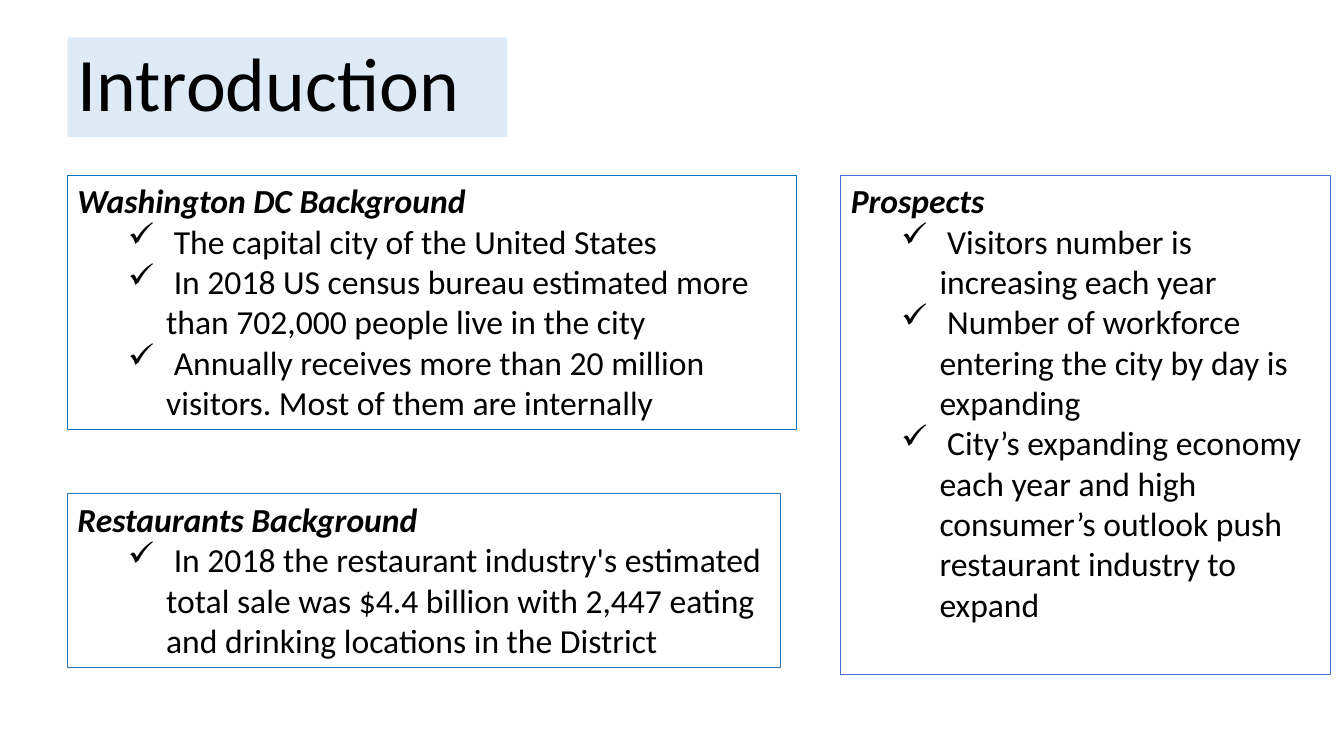
from lxml import etree
from pptx import Presentation
from pptx.dml.color import RGBColor
from pptx.enum.text import MSO_ANCHOR, MSO_AUTO_SIZE, PP_ALIGN
from pptx.oxml.ns import qn
from pptx.util import Inches, Pt

LEFT, MIDDLE, FIXED = PP_ALIGN.LEFT, MSO_ANCHOR.MIDDLE, MSO_AUTO_SIZE.NONE
BLACK = RGBColor(0, 0, 0)
PALE = RGBColor(0xDE, 0xEB, 0xF7)
BLUE = RGBColor(0x00, 0x70, 0xC0)
STEEL = RGBColor(0x2E, 0x75, 0xB6)
ROYAL = RGBColor(0x44, 0x72, 0xC4)
FONT = "Calibri"

# Content: heading, place, border colour, points
TITLE = "Introduction"
PANELS = [
    ("Washington DC Background", (0.67, 1.74, 7.23, 2.52), BLUE, [
        "The capital city of the United States",
        "In 2018 US census bureau estimated more than 702,000 people "
        "live in the city",
        "Annually receives more than 20 million visitors. "
        "Most of them are internally"]),
    ("Restaurants Background", (0.67, 4.9, 7.07, 1.72), STEEL, [
        "In 2018 the restaurant industry's estimated total sale was "
        "$4.4 billion with 2,447 eating and drinking locations "
        "in the District"]),
    ("Prospects", (8.34, 1.74, 4.86, 4.95), ROYAL, [
        "Visitors number is increasing each year",
        "Number of workforce entering the city by day is expanding",
        "City\u2019s expanding economy each year and high "
        "consumer\u2019s outlook push restaurant industry to expand"]),
]


def style(para, size, strong=False):
    para.alignment = LEFT
    for run in para.runs:
        font = run.font
        font.name, font.size = FONT, Pt(size)
        font.bold = font.italic = strong
        font.color.rgb = BLACK


def check(para):
    """Hanging indent with a check mark."""
    para.level = 1
    props = para._p.get_or_add_pPr()
    props.set("marL", str(Inches(0.88)))
    props.set("indent", str(Inches(-0.38)))
    etree.SubElement(props, qn("a:buChar"), char="\u2713")


deck = Presentation()
deck.slide_width, deck.slide_height = Inches(13.33), Inches(7.5)
slide = deck.slides.add_slide(deck.slide_layouts[5])

# Title
title = slide.shapes.title
title.left, title.top = Inches(0.67), Inches(0.37)
title.width, title.height = Inches(4.36), Inches(0.99)
title.fill.solid()
title.fill.fore_color.rgb = PALE
frame = title.text_frame
frame.text = TITLE
frame.auto_size, frame.vertical_anchor = FIXED, MIDDLE
frame.paragraphs[0].line_spacing = 0.9
style(frame.paragraphs[0], 54)

# Bordered text panels
for head, place, color, points in PANELS:
    box = slide.shapes.add_textbox(*map(Inches, place))
    box.line.color.rgb = color
    box.line.width = Pt(0.75)
    frame = box.text_frame
    frame.word_wrap, frame.auto_size = True, FIXED
    frame.text = head
    style(frame.paragraphs[0], 24, strong=True)
    for point in points:
        para = frame.add_paragraph()
        para.text = " " + point
        style(para, 24)
        check(para)

deck.save("out.pptx")
